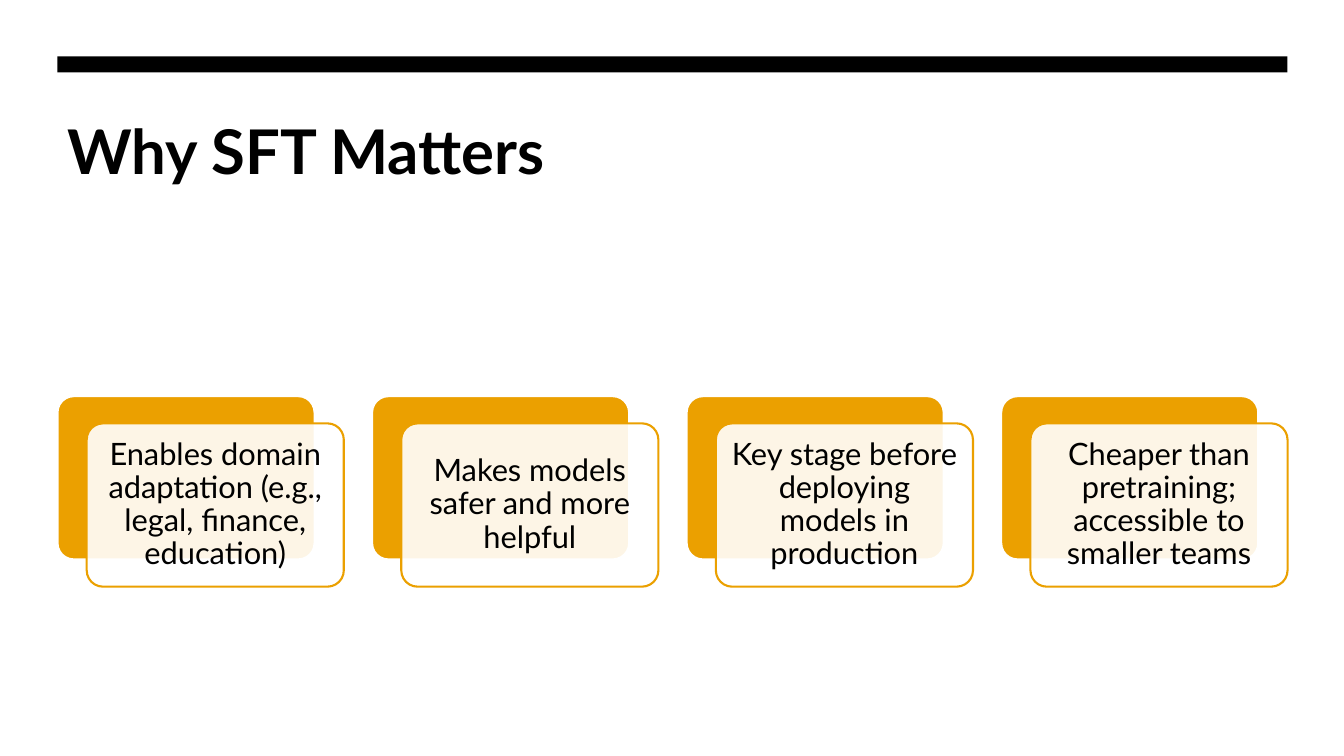
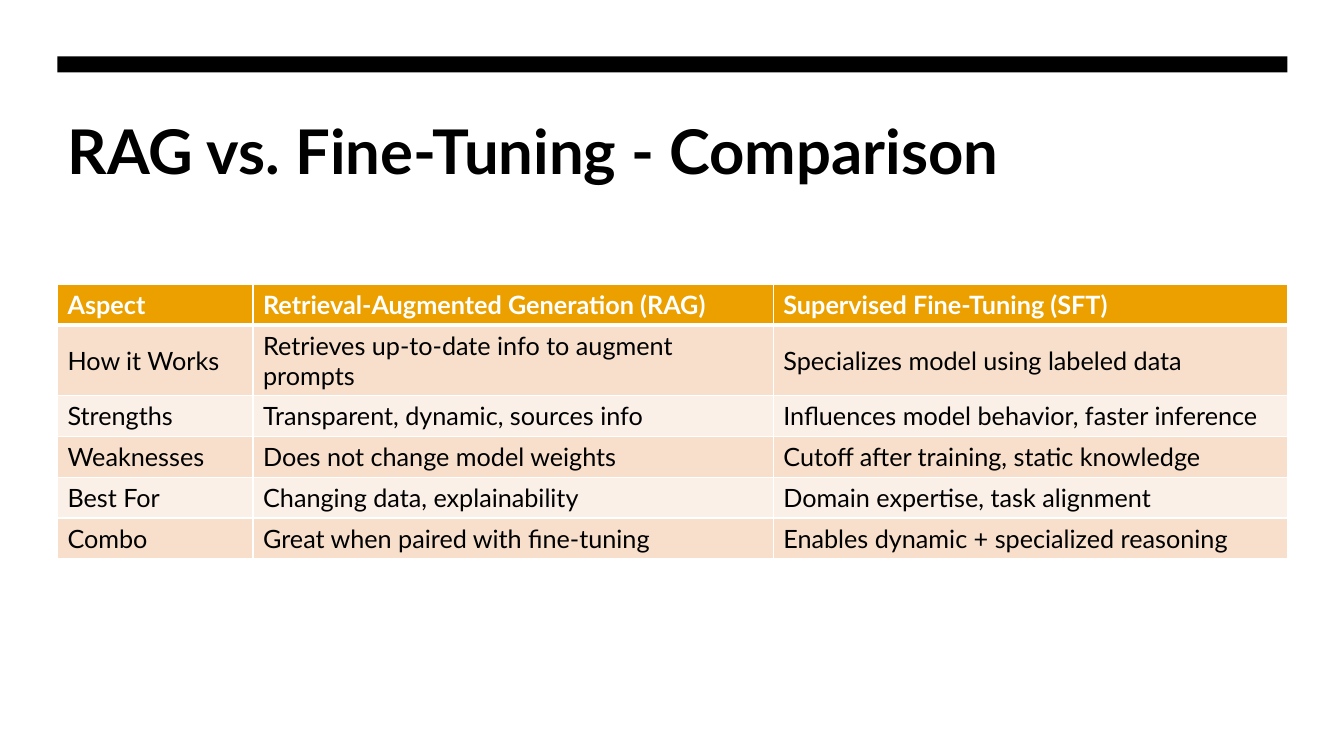
from dataclasses import dataclass

from lxml import etree
from pptx import Presentation
from pptx.dml.color import RGBColor
from pptx.enum.shapes import MSO_SHAPE
from pptx.enum.text import MSO_ANCHOR, MSO_AUTO_SIZE, PP_ALIGN
from pptx.oxml.ns import qn
from pptx.shapes.autoshape import Shape
from pptx.slide import Slide, SlideLayout
from pptx.table import _Cell
from pptx.text.text import _Paragraph
from pptx.util import Inches, Pt

RECT, ROUNDED = MSO_SHAPE.RECTANGLE, MSO_SHAPE.ROUNDED_RECTANGLE
TOP, MIDDLE = MSO_ANCHOR.TOP, MSO_ANCHOR.MIDDLE
LEFT, CENTER = PP_ALIGN.LEFT, PP_ALIGN.CENTER
NO_AUTOFIT = MSO_AUTO_SIZE.NONE

# Shared theme and page frame (inches)
FONT = "Lato"
COLORS = {
    "ink": "000000",
    "paper": "FFFFFF",
    "accent": "EBA000",
    "band_dark": "F7DFCC",
    "band_light": "FBF0E7",
}
SLIDE_WIDTH, SLIDE_HEIGHT = 13.33, 7.5
MARGIN, CONTENT_WIDTH = 0.57, 12.2
TITLE_ONLY = 5


@dataclass(frozen=True)
class Box:
    left: float
    top: float
    width: float
    height: float

    def emu(self) -> tuple[int, int, int, int]:
        return (Inches(self.left), Inches(self.top),
                Inches(self.width), Inches(self.height))

    def shifted(self, right: float, down: float) -> "Box":
        return Box(self.left + right, self.top + down, self.width, self.height)


@dataclass(frozen=True)
class CardStyle:
    fill: str
    line: str
    opacity: int = 100


TITLE_BOX = Box(MARGIN, 1.07, CONTENT_WIDTH, 1.6)
BAR_BOX = Box(MARGIN, 0.56, CONTENT_WIDTH, 0.16)

# Reasons slide: four cards, each a solid back and a translucent front
REASONS = [
    "Enables domain adaptation (e.g., legal, finance, education)",
    "Makes models safer and more helpful",
    "Key stage before deploying models in production",
    "Cheaper than pretraining; accessible to smaller teams",
]
CARD_WIDTH, CARD_HEIGHT, CARD_TOP = 2.55, 1.62, 3.93
CARD_INSET = 0.08  # the rounded corners add about 0.05 on each side
FRONT_RIGHT, FRONT_DOWN = 0.29, 0.27
CARD_PITCH = (CONTENT_WIDTH - CARD_WIDTH - FRONT_RIGHT) / (len(REASONS) - 1)
BACK = CardStyle("accent", "paper")
FRONT = CardStyle("paper", "accent", 90)

# Comparison slide
COMPARISON = [
    ("Aspect", "Retrieval-Augmented Generation (RAG)", "Supervised Fine-Tuning (SFT)"),
    ("How it Works", "Retrieves up-to-date info to augment prompts",
     "Specializes model using labeled data"),
    ("Strengths", "Transparent, dynamic, sources info",
     "Influences model behavior, faster inference"),
    ("Weaknesses", "Does not change model weights",
     "Cutoff after training, static knowledge"),
    ("Best For", "Changing data, explainability", "Domain expertise, task alignment"),
    ("Combo", "Great when paired with fine-tuning",
     "Enables dynamic + specialized reasoning"),
]
COLUMN_WIDTHS = (1.94, 5.16, 5.1)
TABLE_TOP, TABLE_HEIGHT = 2.82, 2.43


def rgb(name: str) -> RGBColor:
    return RGBColor.from_string(COLORS[name])


def style_text(paragraph: _Paragraph, size: float, color: str = "ink",
               bold: bool = False, align: PP_ALIGN = LEFT) -> None:
    paragraph.alignment = align
    font = paragraph.font
    font.name, font.size, font.bold = FONT, Pt(size), bold
    font.color.rgb = rgb(color)


def add_block(slide: Slide, preset: MSO_SHAPE, box: Box, fill: str) -> Shape:
    block = slide.shapes.add_shape(preset, *box.emu())
    block.shadow.inherit = False
    block.fill.solid()
    block.fill.fore_color.rgb = rgb(fill)
    block.line.fill.background()
    return block


def add_titled_slide(deck: Presentation, layout: SlideLayout, heading: str) -> Slide:
    slide = deck.slides.add_slide(layout)
    add_block(slide, RECT, BAR_BOX, "ink")
    title = slide.shapes.title
    title.left, title.top, title.width, title.height = TITLE_BOX.emu()
    frame = title.text_frame
    frame.text = heading
    frame.vertical_anchor, frame.auto_size = TOP, NO_AUTOFIT
    style_text(frame.paragraphs[0], 44, bold=True)
    return slide


def add_card(slide: Slide, box: Box, style: CardStyle) -> Shape:
    card = add_block(slide, ROUNDED, box, style.fill)
    card.adjustments[0] = 0.1
    card.line.color.rgb = rgb(style.line)
    card.line.width = Pt(1.5)
    if style.opacity < 100:
        color = card.element.spPr.find(qn("a:solidFill"))[0]
        etree.SubElement(color, qn("a:alpha"), val=str(style.opacity * 1000))
    return card


def add_reason(slide: Slide, box: Box, reason: str) -> None:
    add_card(slide, box, BACK)
    front = add_card(slide, box.shifted(FRONT_RIGHT, FRONT_DOWN), FRONT)
    frame = front.text_frame
    frame.text = reason
    frame.word_wrap, frame.vertical_anchor = True, MIDDLE
    frame.margin_left = frame.margin_right = Inches(CARD_INSET)
    frame.margin_top = frame.margin_bottom = Inches(CARD_INSET)
    style_text(frame.paragraphs[0], 22, align=CENTER)
    frame.paragraphs[0].line_spacing = 0.9


def set_borders(cell: _Cell, top: float, bottom: float) -> None:
    properties = cell._tc.get_or_add_tcPr()
    widths = {"lnL": 1, "lnR": 1, "lnT": top, "lnB": bottom}
    for position, (side, width) in enumerate(widths.items()):
        border = etree.Element(qn(f"a:{side}"), w=str(Pt(width)))
        fill = etree.SubElement(border, qn("a:solidFill"))
        etree.SubElement(fill, qn("a:srgbClr"), val=COLORS["paper"])
        properties.insert(position, border)


def add_comparison(slide: Slide) -> None:
    box = Box(MARGIN, TABLE_TOP, CONTENT_WIDTH, TABLE_HEIGHT)
    table = slide.shapes.add_table(
        len(COMPARISON), len(COLUMN_WIDTHS), *box.emu()).table
    table.horz_banding = False
    for column, width in zip(table.columns, COLUMN_WIDTHS):
        column.width = Inches(width)
    for row, entries in enumerate(COMPARISON):
        header = row == 0
        band = "accent" if header else "band_dark" if row % 2 else "band_light"
        for column, entry in enumerate(entries):
            cell = table.cell(row, column)
            cell.text = entry
            cell.vertical_anchor = MIDDLE
            cell.fill.solid()
            cell.fill.fore_color.rgb = rgb(band)
            style_text(cell.text_frame.paragraphs[0], 18,
                       "paper" if header else "ink", bold=header)
            set_borders(cell, top=3 if row == 1 else 1, bottom=3 if header else 1)


def main() -> None:
    deck = Presentation()
    deck.slide_width, deck.slide_height = Inches(SLIDE_WIDTH), Inches(SLIDE_HEIGHT)
    layout = deck.slide_layouts[TITLE_ONLY]

    # Why SFT matters
    reasons = add_titled_slide(deck, layout, "Why SFT Matters")
    first_card = Box(MARGIN, CARD_TOP, CARD_WIDTH, CARD_HEIGHT)
    for index, reason in enumerate(REASONS):
        add_reason(reasons, first_card.shifted(index * CARD_PITCH, 0), reason)

    # RAG against fine-tuning
    add_comparison(add_titled_slide(deck, layout, "RAG vs. Fine-Tuning - Comparison"))

    deck.save("out.pptx")


if __name__ == "__main__":
    main()
